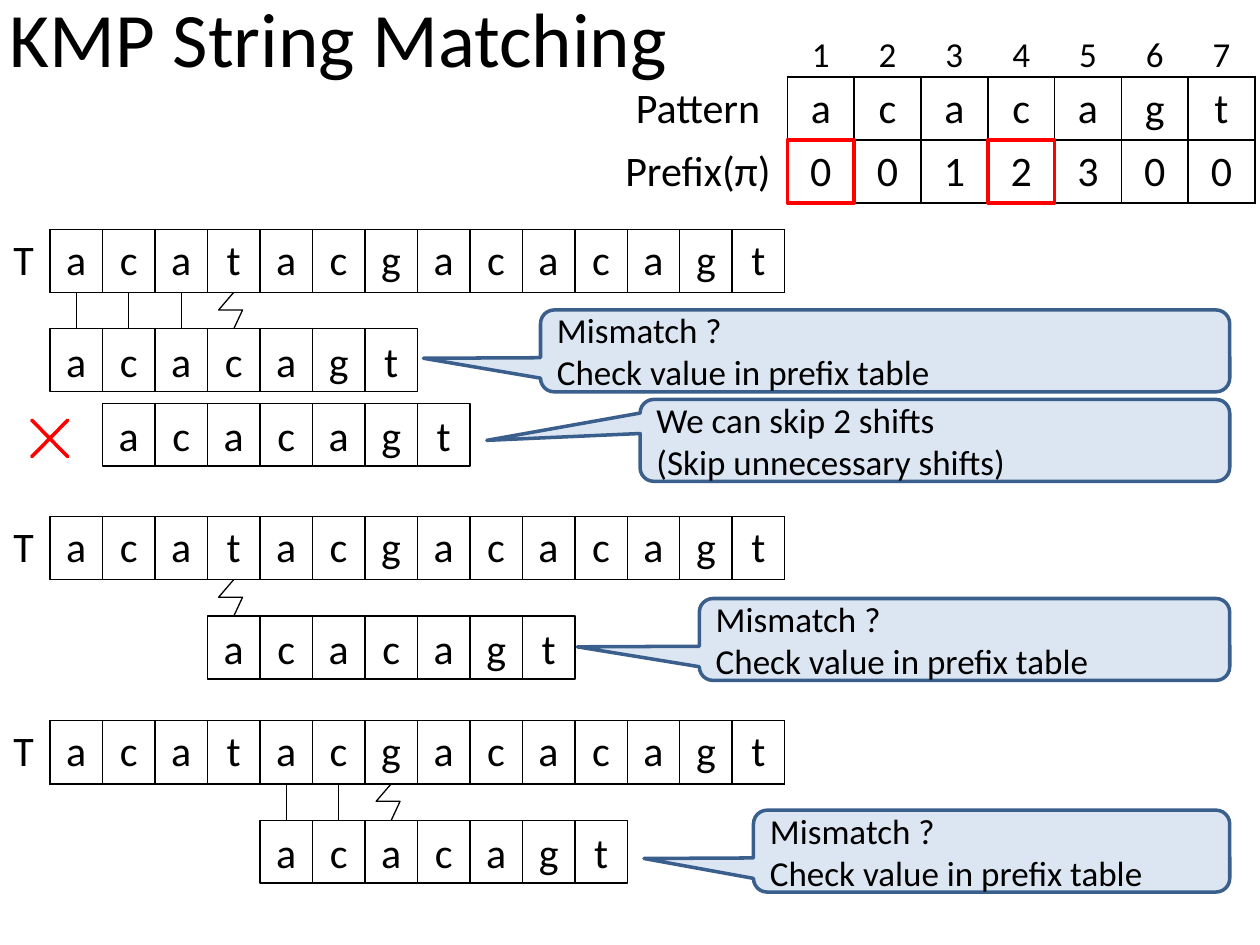
"""Build a slide that traces KMP string matching with a prefix table."""
from dataclasses import dataclass

from lxml import etree
from pptx import Presentation
from pptx.dml.color import RGBColor
from pptx.enum.shapes import MSO_CONNECTOR, MSO_SHAPE
from pptx.enum.text import MSO_ANCHOR, PP_ALIGN
from pptx.oxml.ns import qn
from pptx.util import Inches, Pt

RECT = MSO_SHAPE.RECTANGLE
CROSS = MSO_SHAPE.MATH_MULTIPLY
CALLOUT = MSO_SHAPE.ROUNDED_RECTANGULAR_CALLOUT
STRAIGHT = MSO_CONNECTOR.STRAIGHT
LEFT, CENTER = PP_ALIGN.LEFT, PP_ALIGN.CENTER
MIDDLE, BOTTOM, TOP = MSO_ANCHOR.MIDDLE, MSO_ANCHOR.BOTTOM, MSO_ANCHOR.TOP


@dataclass(frozen=True)
class Theme:
    font: str = "Calibri"
    ink: str = "000000"
    red: str = "FF0000"
    blue: str = "4F81BD"
    pale: str = "DCE6F2"
    edge: str = "3A5F8C"
    title: int = 44
    body: int = 24
    note: int = 20
    thin: float = 0.75
    rule: float = 1
    bold: float = 2


theme = Theme()


def write(frame, text, size=theme.body, align=CENTER, anchor=MIDDLE):
    frame.word_wrap = True
    frame.vertical_anchor = anchor
    for k, line in enumerate(text.split("\n")):
        para = frame.add_paragraph() if k else frame.paragraphs[0]
        para.alignment = align
        run = para.add_run()
        run.text = line
        run.font.name = theme.font
        run.font.size = Pt(size)
        run.font.color.rgb = RGBColor.from_string(theme.ink)


def style(shape, line=theme.ink, width=theme.thin, fill=None):
    shape.shadow.inherit = False
    shape.line.color.rgb = RGBColor.from_string(line)
    shape.line.width = Pt(width)
    if fill:
        shape.fill.solid()
        shape.fill.fore_color.rgb = RGBColor.from_string(fill)
    else:
        shape.fill.background()


deck = Presentation()
deck.slide_width, deck.slide_height = Inches(10), Inches(7.5)
slide = deck.slides.add_slide(deck.slide_layouts[6])
shapes = slide.shapes

title = shapes.add_textbox(Inches(-0.02), Inches(-0.15), Inches(9.58), Inches(0.88))
write(title.text_frame, "KMP String Matching", size=theme.title, align=LEFT)

pattern = "acacagt"
text_row = ["T", *"acatacgacacagt"]
left = -0.02
step = 6.25 / len(text_row)
high = 0.5
drop = 0.79
slot = 0.53
label = 1.42
head = 4.83

prefix_rows = [["", *"1234567"], ["Pattern", *pattern], ["Prefix(π)", *"0012300"]]
trials = [
    (1.82, 0, [0, 1, 2], 3),
    (4.1, 3, [], 3),
    (5.72, 4, [4, 5], 6),
]
tables = [(head, 0.11, label, slot, prefix_rows, 1, MIDDLE)]
tables += [(left, top, step, step, [text_row], 0, TOP) for top, *_ in trials]

for x, y, first, width, rows, heads, anchor in tables:
    count = len(rows[0])
    total = first + width * (count - 1)
    table = shapes.add_table(
        len(rows), count, Inches(x), Inches(y), Inches(total), Inches(high * len(rows))
    ).table
    table.first_row = table.horz_banding = False
    for c, col in enumerate(table.columns):
        col.width = Inches(width if c else first)
    for r, row in enumerate(rows):
        for c, word in enumerate(row):
            cell = table.cell(r, c)
            if r < heads:
                sides = "B" if c else ""
                cell.margin_bottom = 0
                size, place = theme.note, BOTTOM
            else:
                sides = "LRTB" if c else "R"
                size, place = theme.body, anchor
            if word:
                write(cell.text_frame, word, size=size)
            cell.vertical_anchor = place
            props = cell._tc.get_or_add_tcPr()
            for side in "LRTB":
                line = etree.SubElement(props, qn(f"a:ln{side}"), w=str(Pt(theme.rule)))
                if side in sides:
                    fill = etree.SubElement(line, qn("a:solidFill"))
                    etree.SubElement(fill, qn("a:srgbClr"), val=theme.ink)
                else:
                    etree.SubElement(line, qn("a:noFill"))
            cell.fill.background()

for k in (0, 3):
    mark = shapes.add_shape(
        RECT, Inches(head + label + slot * k), Inches(1.11), Inches(slot), Inches(high)
    )
    style(mark, line=theme.red, width=theme.bold)

lines = [(top + drop, *rest) for top, *rest in trials]
lines.append((3.2, 1, [], None))
for y, shift, hits, miss in lines:
    group = shapes.add_group_shape()
    boxes = []
    for k, char in enumerate(pattern, shift):
        box = group.shapes.add_shape(
            RECT, Inches(left + step * (k + 1)), Inches(y), Inches(step), Inches(high)
        )
        style(box)
        write(box.text_frame, char)
        boxes.append(box)
    start = Inches(y - drop + high)
    for k in hits:
        mid = Inches(left + step * (k + 1.5))
        link = shapes.add_connector(STRAIGHT, mid, start, mid, Inches(y))
        link.end_connect(boxes[k - shift], 0)
        link.line.color.rgb = RGBColor.from_string(theme.ink)
        link.line.width = Pt(theme.thin)
        etree.SubElement(link._element.spPr, qn("a:effectLst"))
    if miss is not None:
        mid = Inches(left + step * (miss + 1.5))
        bend = start + Inches(0.14)
        path = shapes.build_freeform(mid, start)
        path.add_line_segments(
            [(mid - Inches(0.12), bend), (mid + Inches(0.07), bend), (mid, Inches(y))],
            close=False,
        )
        style(path.convert_to_shape())

check = "Mismatch ?\nCheck value in prefix table"
skip = "We can skip 2 shifts\n(Skip unnecessary shifts)"
notes = [
    (4.29, 2.46, -0.67, 0.09, check),
    (5.08, 3.17, -0.76, 0, skip),
    (5.55, 4.75, -0.73, 0.09, check),
    (5.98, 6.43, -0.73, 0.09, check),
]
for x, y, tip_x, tip_y, text in notes:
    note = shapes.add_shape(CALLOUT, Inches(x), Inches(y), Inches(9.76 - x), Inches(0.65))
    note.adjustments[0], note.adjustments[1] = tip_x, tip_y
    style(note, line=theme.edge, width=theme.bold, fill=theme.pale)
    write(note.text_frame, text, size=theme.note, align=LEFT)

cross = shapes.add_shape(CROSS, Inches(0.12), Inches(3.2), Inches(0.55), Inches(0.56))
cross.adjustments[0] = 0
style(cross, line=theme.red, width=theme.bold, fill=theme.blue)

deck.save("out.pptx")
